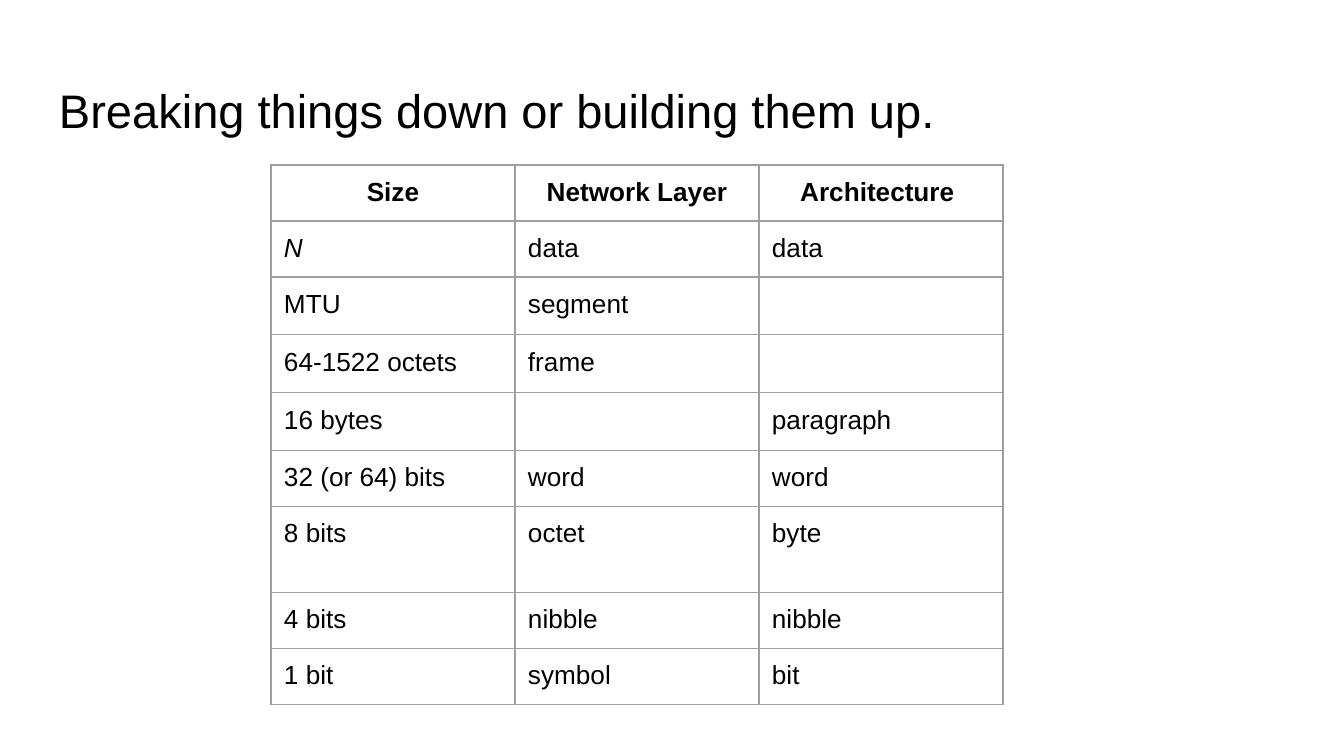
import pptx
import pptx.util
import pptx.dml.color
import pptx.enum.text
import pptx.oxml
import pptx.oxml.ns

EMU_PER_INCH = 914400
PX_PER_INCH = 134.4
FONT = "Arial"
TITLE_PT = 25.2
CELL_PT = 14
INSET = 13
COLORS = {"background": "FFFFFF", "text": "000000", "border": "9E9E9E"}
ALIGN = pptx.enum.text.PP_ALIGN
ANCHOR = pptx.enum.text.MSO_ANCHOR

HEADERS = ["Size", "Network Layer", "Architecture "]
ROWS = [
    ["N", "data", "data"],
    ["MTU", "segment", ""],
    ["64-1522 octets", "frame", ""],
    ["16 bytes", "", "paragraph"],
    ["32 (or 64) bits", "word", "word"],
    ["8 bits", "octet", "byte"],
    ["4 bits", "nibble", "nibble"],
    ["1 bit", "symbol", "bit"],
]
ROW_HEIGHT = 56
TALL_ROW_HEIGHT = 86


def px(n):
    return pptx.util.Emu(round(n * EMU_PER_INCH / PX_PER_INCH))


def rgb(name):
    return pptx.dml.color.RGBColor.from_string(COLORS[name])


def add_run(p, text, size, bold=False, italic=False):
    r = p.add_run()
    r.text = text
    r.font.name = FONT
    r.font.size = pptx.util.Pt(size)
    r.font.bold = bold
    r.font.italic = italic
    r.font.color.rgb = rgb("text")


def set_insets(target):
    target.margin_left = target.margin_right = px(INSET)
    target.margin_top = target.margin_bottom = px(INSET)


def set_borders(cell):
    tc_pr = cell._tc.get_or_add_tcPr()
    for i, side in enumerate(("lnL", "lnR", "lnT", "lnB")):
        line = pptx.oxml.parse_xml(
            f'<a:{side} {pptx.oxml.ns.nsdecls("a")} w="{pptx.util.Pt(0.75)}">'
            f'<a:solidFill><a:srgbClr val="{COLORS["border"]}"/></a:solidFill>'
            f'</a:{side}>'
        )
        tc_pr.insert(i, line)


def add_title(s, left, top, width, height):
    sp = s.shapes.title
    sp.left, sp.top, sp.width, sp.height = map(px, (left, top, width, height))
    tf = sp.text_frame
    tf.word_wrap = True
    tf.auto_size = pptx.enum.text.MSO_AUTO_SIZE.NONE
    tf.vertical_anchor = ANCHOR.BOTTOM
    set_insets(tf)
    p = tf.paragraphs[0]
    p.alignment = ALIGN.LEFT
    add_run(p, "Breaking things down or building them up.", TITLE_PT)


def fill_cell(cell, text, header):
    cell.fill.background()
    cell.vertical_anchor = ANCHOR.TOP
    set_insets(cell)
    set_borders(cell)
    p = cell.text_frame.paragraphs[0]
    p.alignment = ALIGN.CENTER if header else ALIGN.LEFT
    if text:
        add_run(p, text, CELL_PT, bold=header, italic=text == "N")
    else:
        p._p.get_or_add_endParaRPr().set("sz", str(CELL_PT * 100))


def add_units_table(s, left, top, width):
    rows = [HEADERS] + ROWS
    heights = [TALL_ROW_HEIGHT if row[0] == "8 bits" else ROW_HEIGHT for row in rows]
    frame = s.shapes.add_table(
        len(rows), len(HEADERS), px(left), px(top), px(width), px(sum(heights))
    )
    table = frame.table
    table.horz_banding = False
    for column in table.columns:
        column.width = px(width / len(HEADERS))
    for i, (row, height) in enumerate(zip(rows, heights)):
        table.rows[i].height = px(height)
        for j, text in enumerate(row):
            fill_cell(table.cell(i, j), text, header=i == 0)


def main():
    prs = pptx.Presentation()
    prs.slide_width, prs.slide_height = px(1344), px(756)
    s = prs.slides.add_slide(prs.slide_layouts[5])
    s.background.fill.solid()
    s.background.fill.fore_color.rgb = rgb("background")
    add_title(s, 46, 66, 1253, 85)
    add_units_table(s, 271, 165, 732)
    prs.save("out.pptx")


if __name__ == "__main__":
    main()
